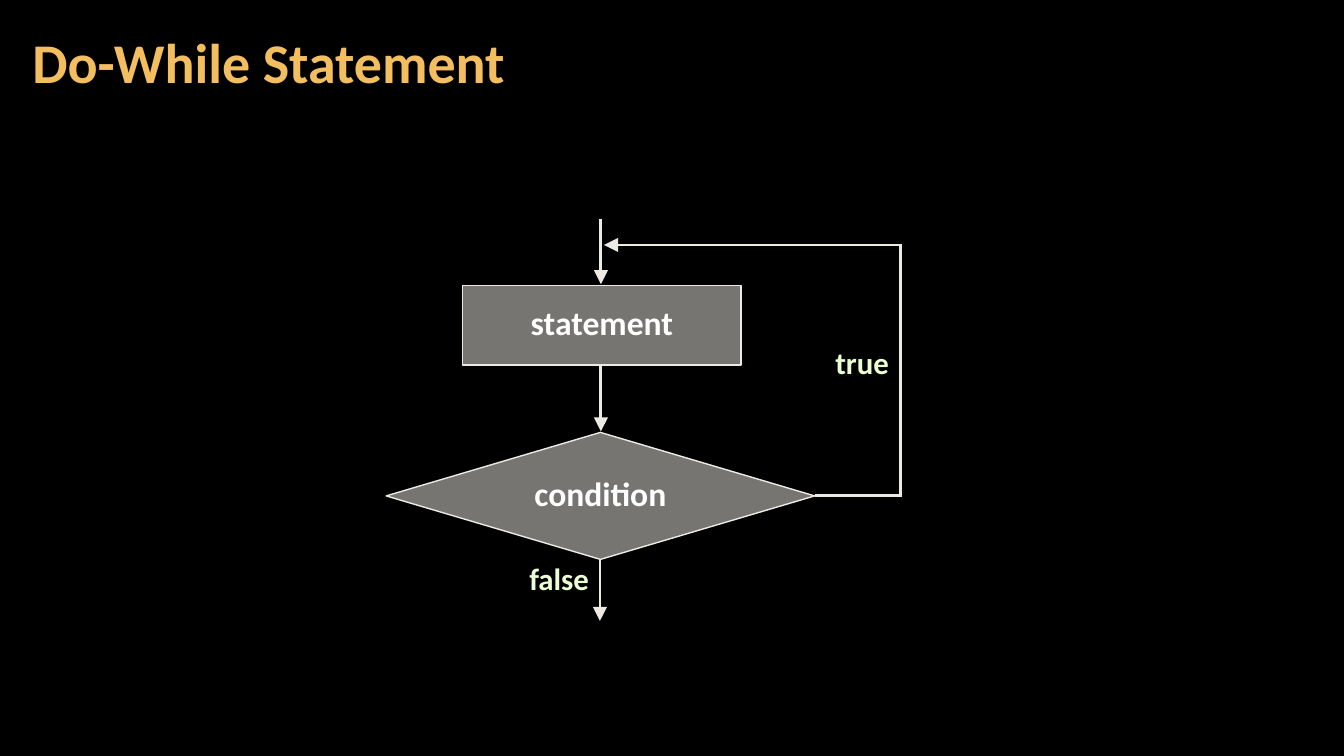
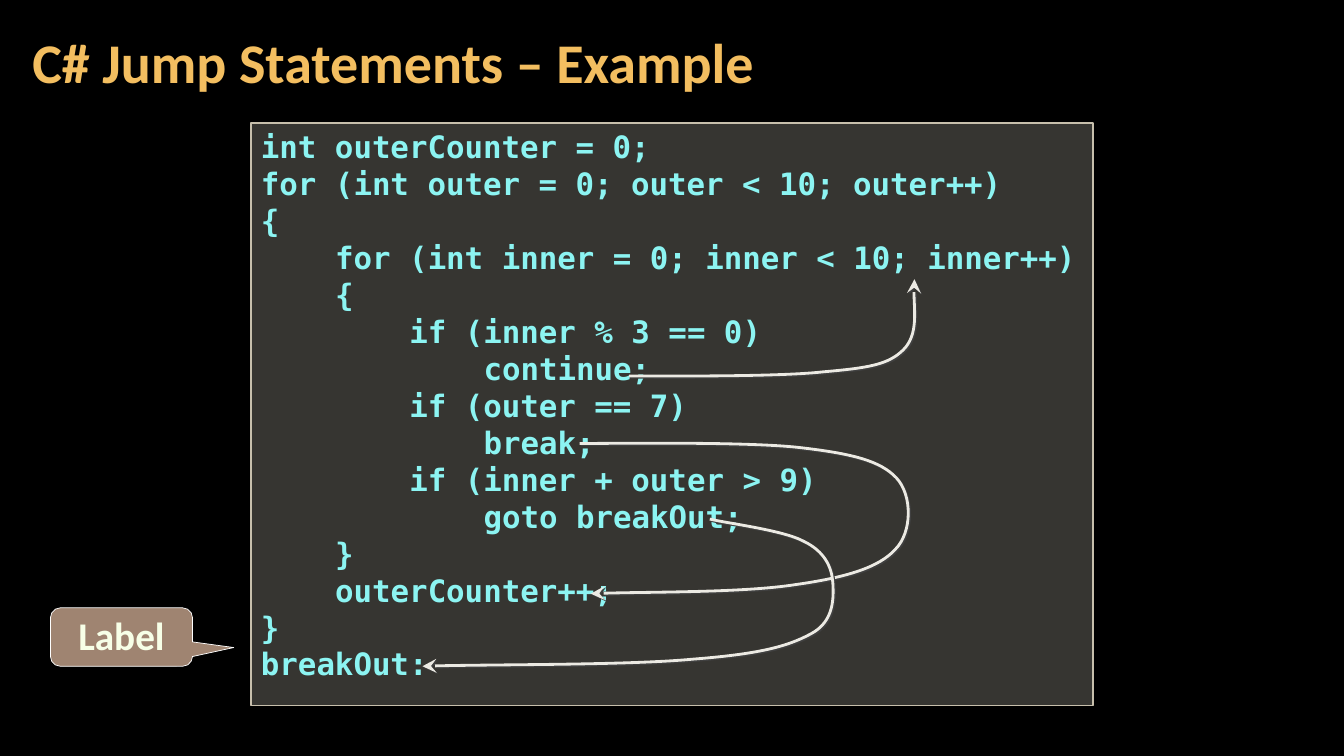
"""Build two slides on C# loops: a do-while flowchart and a jump example."""
from dataclasses import dataclass

from lxml import etree
from pptx import Presentation
from pptx.dml.color import RGBColor
from pptx.enum.shapes import MSO_CONNECTOR, MSO_SHAPE
from pptx.enum.text import MSO_ANCHOR, PP_ALIGN
from pptx.oxml.ns import qn
from pptx.util import Inches, Pt

LEFT, CENTER = PP_ALIGN.LEFT, PP_ALIGN.CENTER
TOP, MIDDLE = MSO_ANCHOR.TOP, MSO_ANCHOR.MIDDLE
RECT, DIAMOND = MSO_SHAPE.RECTANGLE, MSO_SHAPE.FLOWCHART_DECISION
CALLOUT = MSO_SHAPE.ROUNDED_RECTANGULAR_CALLOUT
STRAIGHT = MSO_CONNECTOR.STRAIGHT


@dataclass(frozen=True)
class Theme:
    back: str = "000000"
    gold: str = "F3BE60"
    ivory: str = "ECEAE3"
    white: str = "FFFFFF"
    lime: str = "EBFFD2"
    sand: str = "D9D5C7"
    edge: str = "C7BFAC"
    aqua: str = "8CF4F2"
    brown: str = "9F8471"
    cream: str = "F7FFE7"
    shade: str = "404040"
    sans: str = "Calibri"
    mono: str = "DejaVu Sans Mono"
    title: int = 40
    label: int = 28
    node: int = 24
    small: int = 22


theme = Theme()


def write(frame, text, size, color, font=theme.sans, align=CENTER,
          anchor=MIDDLE, space=0.85, side=0.1, edge=0.05):
    frame.word_wrap = True
    frame.vertical_anchor = anchor
    frame.margin_left = frame.margin_right = Inches(side)
    frame.margin_top = frame.margin_bottom = Inches(edge)
    for row, line in enumerate(text.split("\n")):
        para = frame.add_paragraph() if row else frame.paragraphs[0]
        para.alignment = align
        para.line_spacing = space
        words = line.lstrip()
        depth = (len(line) - len(words)) // 4
        if depth:
            para._p.get_or_add_pPr().set("marL", str(Pt(53 * depth)))
        run = para.add_run()
        run.text = words
        run.font.name = font
        run.font.size = Pt(size)
        run.font.bold = True
        run.font.color.rgb = RGBColor.from_string(color)


def paint(shape, color=theme.ivory, width=2, fill=None, alpha=100,
          tail=None, shade=None):
    shape.line.color.rgb = RGBColor.from_string(color)
    shape.line.width = Pt(width)
    props = shape._element.spPr
    if fill:
        shape.fill.solid()
        shape.fill.fore_color.rgb = RGBColor.from_string(fill)
        if alpha < 100:
            tint = props.find(qn("a:solidFill"))[0]
            etree.SubElement(tint, qn("a:alpha")).set("val", str(alpha * 1000))
    if tail:
        etree.SubElement(props.find(qn("a:ln")), qn("a:tailEnd"),
                         type=tail, w="lg", len="lg")
    effects = etree.SubElement(props, qn("a:effectLst"))
    if shade:
        cast = etree.SubElement(effects, qn("a:outerShdw"), dist=str(Pt(1.4)),
                                dir="2700000", algn="ctr", rotWithShape="0")
        etree.SubElement(cast, qn("a:srgbClr"), val=shade)


prs = Presentation()
prs.slide_width, prs.slide_height = Inches(13.33), Inches(7.5)
ground = prs.slide_master.background.fill
ground.solid()
ground.fore_color.rgb = RGBColor.from_string(theme.back)

slides = []
for head in ("Do-While Statement", "C# Jump Statements – Example"):
    slide = prs.slides.add_slide(prs.slide_layouts[5])
    title = slide.shapes.title
    title.left, title.top = Inches(0.2), Inches(0.04)
    title.width, title.height = Inches(10.47), Inches(1.21)
    write(title.text_frame, head, theme.title, theme.gold, align=LEFT,
          space=0.9, side=0.12, edge=0.04)
    slides.append(slide)
flow, jump = (slide.shapes for slide in slides)

for kind, text, *place in (
    (DIAMOND, "condition", 3.83, 4.29, 4.25, 1.26),
    (RECT, "statement", 4.59, 2.83, 2.76, 0.79),
):
    node = flow.add_shape(kind, *map(Inches, place))
    paint(node, width=1, fill=theme.ivory, alpha=50)
    write(node.text_frame, text, theme.node, theme.white)

for text, *place in (("true", 8.04, 3.42, 1.02, 0.42),
                     ("false", 5.07, 5.56, 0.95, 0.42)):
    label = flow.add_textbox(*map(Inches, place))
    write(label.text_frame, text, theme.small, theme.lime, anchor=TOP)

for tail, *ends in (
    ("triangle", 5.96, 2.17, 5.96, 2.82),
    ("triangle", 5.96, 3.63, 5.96, 4.28),
    ("triangle", 5.95, 5.56, 5.95, 6.16),
    ("triangle", 8.95, 2.43, 5.99, 2.43),
    (None, 8.08, 4.92, 8.95, 4.92),
    (None, 8.93, 4.93, 8.93, 2.42),
):
    paint(flow.add_connector(STRAIGHT, *map(Inches, ends)), tail=tail)

CODE = """int outerCounter = 0;
for (int outer = 0; outer < 10; outer++)
{
    for (int inner = 0; inner < 10; inner++)
    {
        if (inner % 3 == 0)
            continue;
        if (outer == 7)
            break;
        if (inner + outer > 9)
            goto breakOut;
    }
    outerCounter++;
}
breakOut:"""
panel = jump.add_shape(RECT, Inches(2.49), Inches(1.22), Inches(8.35), Inches(5.78))
paint(panel, theme.edge, 1, theme.sand, 25)
write(panel.text_frame, CODE, theme.small, theme.aqua, font=theme.mono,
      align=LEFT, anchor=TOP, space=Pt(26.4))

for start, *knots in (
    ((6.24, 3.73),
     (6.56, 3.73), (7.71, 3.74), (8.16, 3.69),
     (8.61, 3.65), (8.81, 3.62), (8.96, 3.47),
     (9.11, 3.32), (9.05, 2.92), (9.07, 2.77)),
    ((5.75, 4.4),
     (6.12, 4.4), (7.4, 4.38), (7.93, 4.44),
     (8.45, 4.5), (8.73, 4.57), (8.89, 4.74),
     (9.05, 4.91), (9.05, 5.28), (8.88, 5.45),
     (8.72, 5.63), (8.39, 5.73), (7.89, 5.8),
     (7.38, 5.88), (6.28, 5.87), (5.86, 5.89)),
    ((7.04, 5.15),
     (7.2, 5.19), (7.77, 5.26), (7.97, 5.37),
     (8.18, 5.47), (8.25, 5.63), (8.26, 5.78),
     (8.27, 5.94), (8.27, 6.17), (8.04, 6.29),
     (7.8, 6.42), (7.51, 6.49), (6.87, 6.54),
     (6.23, 6.6), (4.75, 6.59), (4.19, 6.61)),
):
    pen = jump.build_freeform(*map(Inches, start))
    pen.add_line_segments([tuple(map(Inches, knot)) for knot in knots], close=False)
    curve = pen.convert_to_shape()
    legs = list(curve._element.iter(qn("a:lnTo")))
    for first in range(0, len(legs), 3):
        bend = etree.Element(qn("a:cubicBezTo"))
        legs[first].addprevious(bend)
        for leg in legs[first:first + 3]:
            bend.append(leg[0])
            leg.getparent().remove(leg)
    curve.fill.background()
    paint(curve, tail="stealth", shade=theme.shade)

note = jump.add_shape(CALLOUT, Inches(0.5), Inches(6.03), Inches(1.41), Inches(0.58))
for place, value in enumerate((0.79, 0.18, 0.17)):
    note.adjustments[place] = value
paint(note, theme.white, 0.5, theme.brown)
write(note.text_frame, "Label", theme.label, theme.cream, space=Pt(30))

prs.save("out.pptx")
